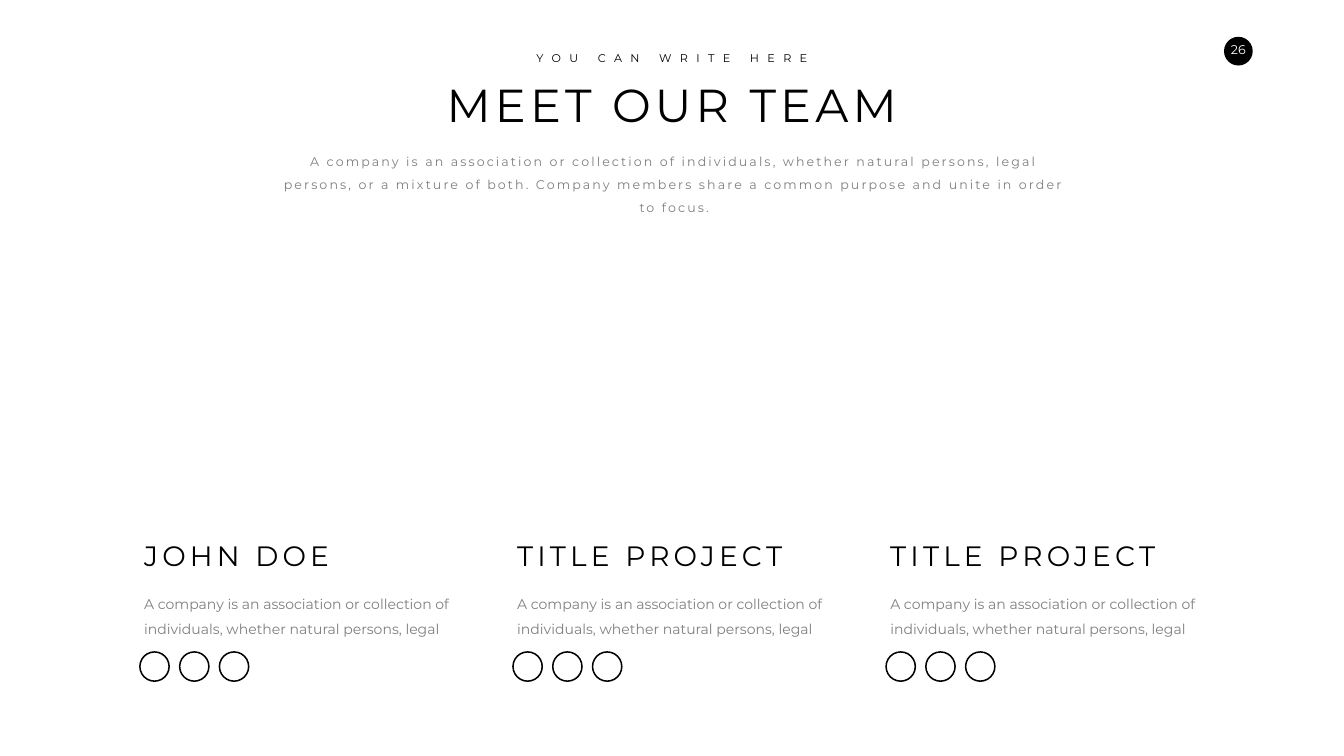
from pptx import Presentation
from pptx.dml.color import RGBColor
from pptx.enum.shapes import MSO_SHAPE as Kind
from pptx.enum.text import MSO_AUTO_SIZE as Fit, PP_ALIGN as Align
from pptx.util import Inches, Pt

BLACK, GRAY, WHITE = "000000", "7F7F7F", "FFFFFF"


def color(code):
    return RGBColor.from_string(code)


class Deck:
    """Holds the style and the current slide; one unit is 1% of each side."""
    font = "Montserrat"

    def __init__(self, wide, high):
        self.file = Presentation()
        self.file.slide_width = Inches(wide)
        self.file.slide_height = Inches(high)
        self.col, self.row = wide / 100, high / 100
        self.slide = self.file.slides.add_slide(self.file.slide_layouts[6])

    def place(self, x, y, w, h):
        return (Inches(x * self.col), Inches(y * self.row),
                Inches(w * self.col), Inches(h * self.row))

    def text(self, words, x, y, w, h, size, ink=BLACK, gap=0,
             lead=1.0, align=Align.LEFT, wrap=True):
        box = self.slide.shapes.add_textbox(*self.place(x, y, w, h))
        frame = box.text_frame
        frame.word_wrap = wrap
        frame.auto_size = Fit.SHAPE_TO_FIT_TEXT
        para = frame.paragraphs[0]
        para.alignment, para.line_spacing = align, lead
        run = para.add_run()
        run.text = words
        run.font.name, run.font.size = self.font, Pt(size)
        run.font.color.rgb = color(ink)
        if gap:
            run._r.get_or_add_rPr().set("spc", str(gap * 100))
        return frame

    def shape(self, kind, x, y, w, h, fill=BLACK):
        item = self.slide.shapes.add_shape(kind, *self.place(x, y, w, h))
        item.shadow.inherit = False
        item.fill.solid()
        item.fill.fore_color.rgb = color(fill)
        item.line.fill.background()
        return item

    def ring(self, x, y, w, h):
        self.shape(Kind.DONUT, x, y, w, h).adjustments[0] = 0.05


def main():
    deck = Deck(26.66, 15)
    mid = Align.CENTER

    # Page number
    deck.shape(Kind.OVAL, 91.07, 4.87, 2.14, 3.8)
    page = deck.text("26", 90.52, 4.87, 3.23, 3.33, 18, WHITE,
                     align=mid, wrap=False)
    page.margin_left = page.margin_right = Inches(0.2)
    page.margin_top = page.margin_bottom = Inches(0.1)

    # Heading
    deck.text("YOU CAN WRITE HERE", 39.16, 6.4, 21.68, 2.47, 16,
              gap=12, align=mid, wrap=False)
    deck.text("MEET OUR TEAM", 32.77, 9.8, 34.46, 8.07, 66,
              gap=6, align=mid, wrap=False)
    lead = "A company is an association or collection of individuals, whether natural persons, legal"
    deck.text(lead + " persons, or a mixture of both. Company members share "
              "a common purpose and unite in order to focus.",
              20.1, 19.07, 60.13, 6.73, 18, GRAY, gap=3, lead=1.5, align=mid)

    # Team columns
    for i, name in enumerate(["JOHN DOE", "TITLE PROJECT", "TITLE PROJECT"]):
        x = 10.35 + i * 27.76
        deck.text(name, x, 70.87, 20.74, 5.13, 40, gap=6)
        deck.text(lead, x, 77.27, 24.9, 7.4, 20, GRAY, lead=1.5)
        # Contact badges
        for j in range(3):
            deck.ring(x + j * 2.96, 86.13, 2.29, 4.07)

    deck.file.save("out.pptx")


if __name__ == "__main__":
    main()
